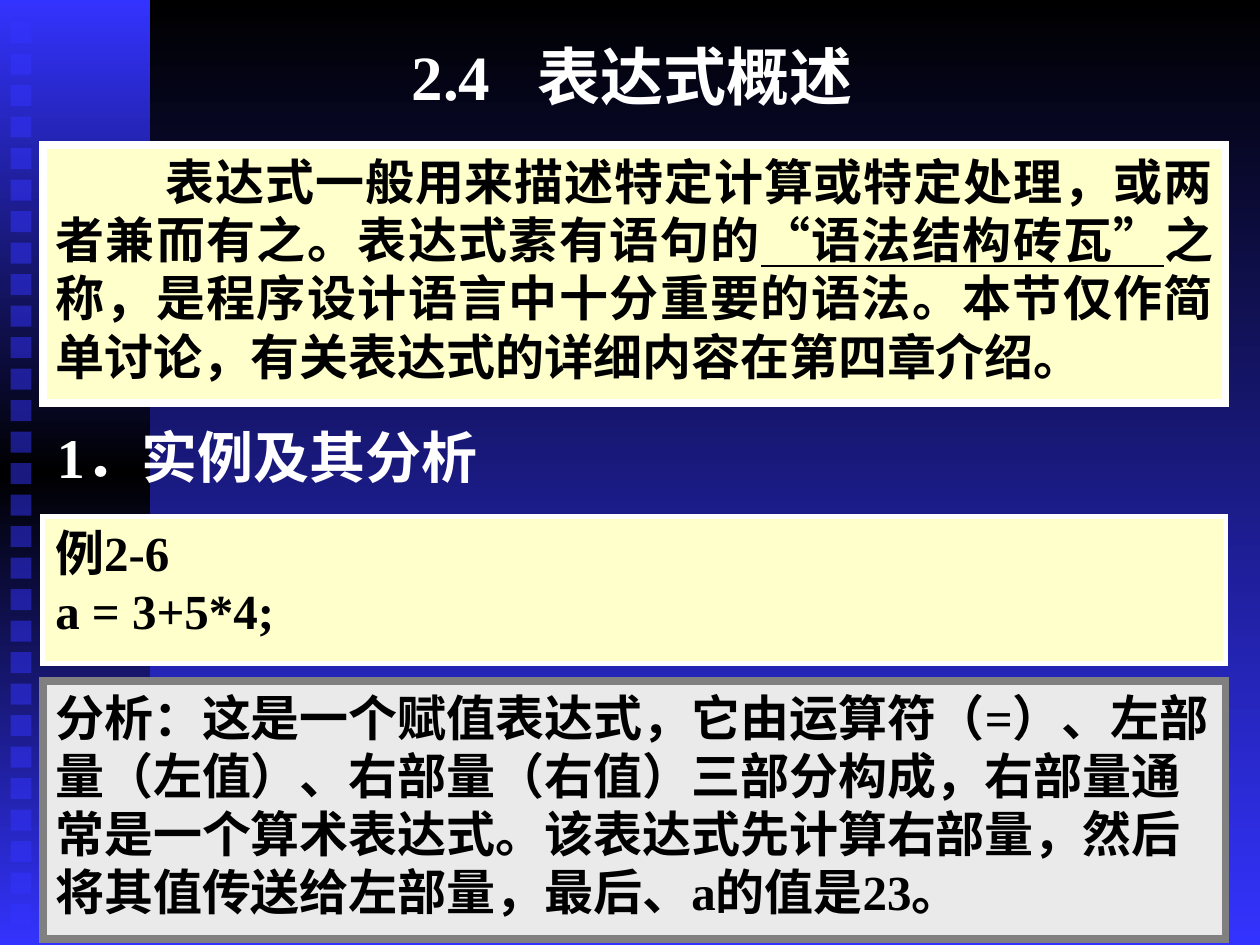
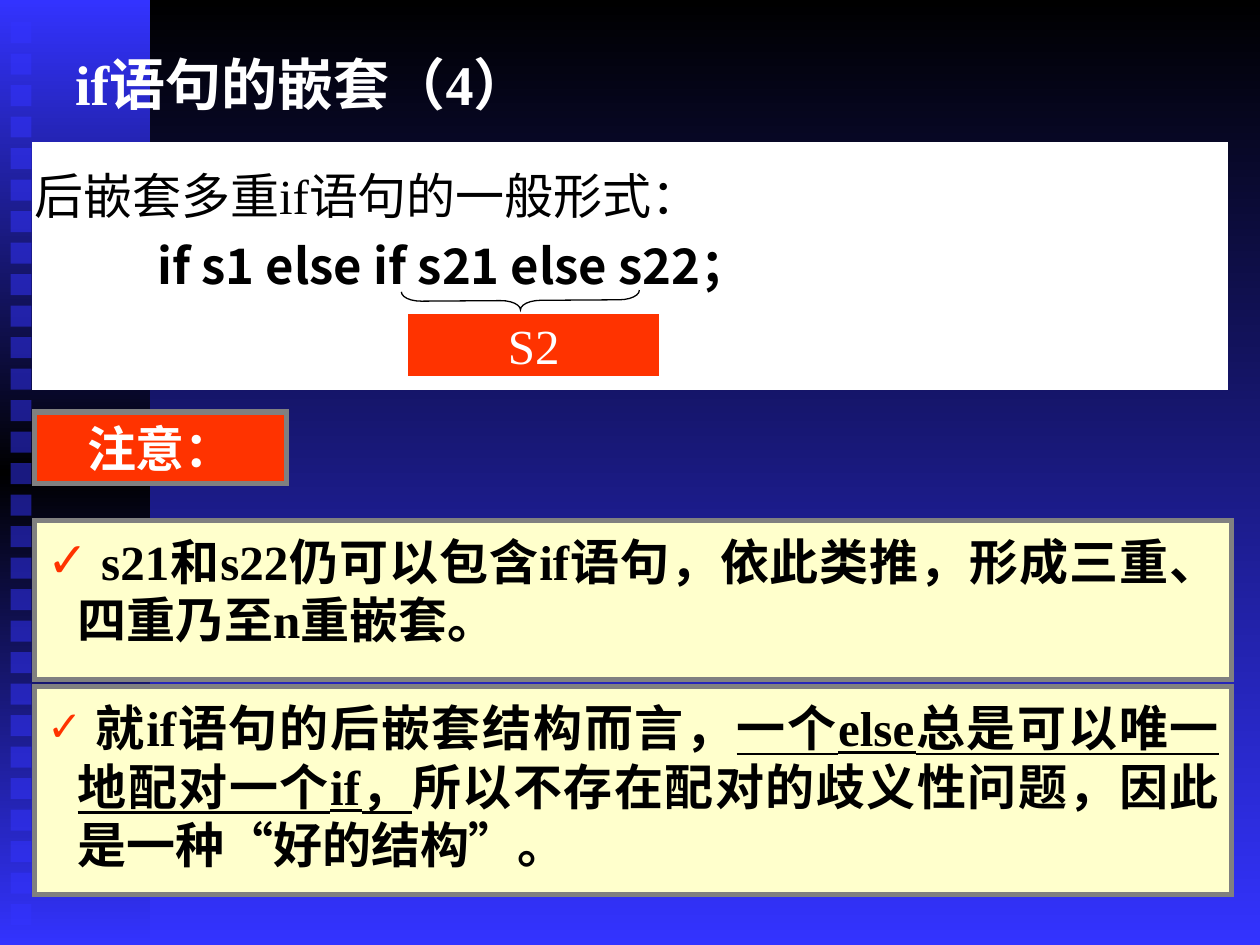
from lxml.etree import SubElement
from copy import deepcopy
from pptx import Presentation
from pptx.dml.color import RGBColor
from pptx.enum.shapes import MSO_SHAPE as Preset
from pptx.enum.text import MSO_ANCHOR as Anchor, MSO_AUTO_SIZE as AutoSize, PP_ALIGN as Align
from pptx.oxml.ns import qn
from pptx.util import Pt

COLORS = {
    "black": "000000", "blue": "3333FF", "white": "FFFFFF", "cream": "FFFFCC",
    "mist": "EAEAEA", "gray": "808080", "red": "FF3300",
}
LATIN, CJK = "Times New Roman", "Noto Sans CJK SC"
LINE_RATIO = 1.19
WIDTH, HEIGHT = 720, 540
BAND_WIDTH = 85.7
SQUARE_COUNT, SQUARE_SIZE, SQUARE_PITCH = 29, 12, 18
SQUARE_LEFT, SQUARE_TOP = 6, 12.6

UNDERLINED = {"underline": True}
PLAIN = {"bold": False}

OVERVIEW_TITLE = "2.4\t表达式概述"
OVERVIEW_INTRO = [
    ("表达式一般用来描述特定计算或特定处理，或两者兼而有之。表达式素有语句的", {}),
    ("“语法结构砖瓦”", UNDERLINED),
    ("之称，是程序设计语言中十分重要的语法。本节仅作简单讨论，有关表达式的详细内容在第四章介绍。", {}),
]
EXAMPLE_HEADING = "1．实例及其分析"
EXAMPLE_LINES = ["例2-6", "a = 3+5*4;"]
ANALYSIS = (
    "分析：这是一个赋值表达式，它由运算符（=）、左部量（左值）、右部量（右值）三部分构成，"
    "右部量通常是一个算术表达式。该表达式先计算右部量，然后将其值传送给左部量，最后、a的值是23。"
)

NESTING_TITLE = "if语句的嵌套（4）"
GENERAL_FORM = [("后嵌套多重if语句的一般形式：", PLAIN)]
FORM_CODE = [("if s1 else if s21 else s22；", {"latin": CJK})]
NESTED_PART = [("S2", PLAIN)]
NOTICE = "注意："
NOTES = [
    (297.4, 90.7, [(" s21和s22仍可以包含if语句，依此类推，形成三重、四重乃至n重嵌套。", {})]),
    (392.4, 118.8, [
        (" ", {"size": 24}),
        ("就if语句的后嵌套结构而言，", {}),
        ("一个else总是可以唯一地配对一个if，", UNDERLINED),
        ("所以不存在配对的歧义性问题，因此是一种“好的结构”。", {}),
    ]),
]


def rgb(color):
    return RGBColor.from_string(COLORS[color])


def place(part, left, top, width, height):
    part.left, part.top, part.width, part.height = map(Pt, (left, top, width, height))


def paint(part, fill, line=None, weight=0):
    part.fill.solid()
    part.fill.fore_color.rgb = rgb(fill)
    if line:
        part.line.color.rgb = rgb(line)
        part.line.width = Pt(weight)
        SubElement(part.element.spPr.find(qn("a:ln")), qn("a:miter"), lim="800000")
    else:
        part.line.fill.background()


def paint_gradient(fill, *colors):
    fill.gradient()
    fill.gradient_angle = 270
    first_stop = fill.gradient_stops._gsLst[0]
    for _ in colors[2:]:
        first_stop.addnext(deepcopy(first_stop))
    for number, (stop, color) in enumerate(zip(fill.gradient_stops, colors)):
        stop.color.rgb = rgb(color)
        stop.position = number / (len(colors) - 1)


def format_run(run, color, size, latin=LATIN, bold=True, underline=False):
    font = run.font
    font.size, font.bold, font.underline = Pt(size), bold, underline
    font.color.rgb = rgb(color)
    font.name = latin
    SubElement(run._r.get_or_add_rPr(), qn("a:ea"), typeface=CJK)


def write(part, lines, color="black", size=28, align=Align.LEFT, inset=(7.2, 3.9),
          gap=0, indents=((0, 0),), tab=None, bullet=None):
    frame = part.text_frame
    frame.word_wrap, frame.auto_size = True, AutoSize.NONE
    frame.vertical_anchor = Anchor.TOP
    frame.margin_left = frame.margin_right = Pt(inset[0])
    frame.margin_top, frame.margin_bottom = Pt(inset[1]), Pt(0)
    for number, line in enumerate(lines):
        paragraph = frame.add_paragraph() if number else frame.paragraphs[0]
        properties = paragraph._p.get_or_add_pPr()
        margin, first_line = indents[min(number, len(indents) - 1)]
        properties.set("marL", str(Pt(margin)))
        properties.set("indent", str(Pt(first_line)))
        properties.set("hangingPunct", "0")
        if bullet:
            bullet_color = SubElement(properties, qn("a:buClr"))
            SubElement(bullet_color, qn("a:srgbClr"), val=COLORS["red"])
            SubElement(properties, qn("a:buChar"), char=bullet)
        else:
            SubElement(properties, qn("a:buNone"))
        if tab:
            stops = SubElement(properties, qn("a:tabLst"))
            SubElement(stops, qn("a:tab"), pos=str(Pt(tab)), algn="l")
        paragraph.alignment = align
        paragraph.line_spacing = Pt(round(size * LINE_RATIO, 1))
        paragraph.space_before = Pt(gap if number else 0)
        for text, style in [(line, {})] if isinstance(line, str) else line:
            run = paragraph.add_run()
            run.text = text
            format_run(run, color, **{"size": size, **style})


def add_panel(slide, box, fill, line=None, weight=0, preset=Preset.RECTANGLE):
    panel = slide.shapes.add_shape(preset, *map(Pt, box))
    panel.shadow.inherit = False
    paint(panel, fill, line, weight)
    return panel


def decorate_master(master, slide):
    paint_gradient(master.background.fill, "black", "blue")
    band = add_panel(slide, (0, 0, BAND_WIDTH, HEIGHT), "blue")
    paint_gradient(band.fill, "blue", "black", "blue")
    decorations = [band]
    for row in range(SQUARE_COUNT):
        top = SQUARE_TOP + row * SQUARE_PITCH
        square = add_panel(slide, (SQUARE_LEFT, top, SQUARE_SIZE, SQUARE_SIZE), "blue")
        tint = square.element.spPr.find(qn("a:solidFill"))[0]
        SubElement(tint, qn("a:alpha"), val="50000")
        decorations.append(square)
    for number, decoration in enumerate(decorations):
        decoration.element.nvSpPr.cNvPr.id = 100 + number
        master.shapes.element.insert(2 + number, decoration.element)


def build_overview(slide):
    title = slide.shapes.title
    place(title, 228, 18, 300, 60)
    write(title, [OVERVIEW_TITLE], "white", 36, tab=72)

    left, width = 24.5, 675.8
    intro = add_panel(slide, (left, 83, width, 147.5), "cream", "white", 4.5)
    write(intro, [OVERVIEW_INTRO], align=Align.JUSTIFY, indents=((0, 63),))

    example = add_panel(slide, (left, 295, width, 84), "cream", "white", 3)
    write(example, EXAMPLE_LINES, align=Align.JUSTIFY)

    heading = slide.shapes.add_textbox(*map(Pt, (25.5, 238, 612, 45)))
    write(heading, [EXAMPLE_HEADING], "white", 32)

    analysis = add_panel(slide, (left, 389, width, 147.5), "mist", "gray", 4.5)
    write(analysis, [ANALYSIS])


def build_nesting(slide):
    title, *notes = slide.placeholders
    place(title, 35.7, 24.8, 596, 50)
    write(title, [NESTING_TITLE], "white", 32)

    left = 19.7
    form = add_panel(slide, (left, 82.8, 680.4, 138.8), "white", "white", 3)
    write(form, [GENERAL_FORM, FORM_CODE], inset=(0, 12), gap=7,
          indents=((0, 0), (70.3, 0)))

    brace = add_panel(slide, (292, 103.7, 10.8, 136), "white", "black", 0.75, Preset.LEFT_BRACE)
    brace.adjustments[0] = 1.05
    brace.rotation = 269.6

    nested = add_panel(slide, (233, 179.3, 144, 36), "red", "white", 0.75)
    write(nested, [NESTED_PART], "white", align=Align.CENTER, inset=(7.2, 1.4))

    for note, (top, height, runs) in zip(notes, NOTES):
        place(note, left, top, 684, height)
        paint(note, "cream", "gray", 3)
        write(note, [runs], align=Align.JUSTIFY, inset=(7.2, 6.7),
              indents=((17.4, -17.4),), bullet="✓")

    notice = add_panel(slide, (left, 235.4, 144, 41), "red", "gray", 3)
    write(notice, [NOTICE], "white", align=Align.CENTER)


def main():
    deck = Presentation()
    deck.slide_width, deck.slide_height = Pt(WIDTH), Pt(HEIGHT)
    title_only, two_content = deck.slide_layouts[5], deck.slide_layouts[3]
    overview = deck.slides.add_slide(title_only)
    decorate_master(deck.slide_master, overview)
    build_overview(overview)
    build_nesting(deck.slides.add_slide(two_content))
    deck.save("out.pptx")


if __name__ == "__main__":
    main()
